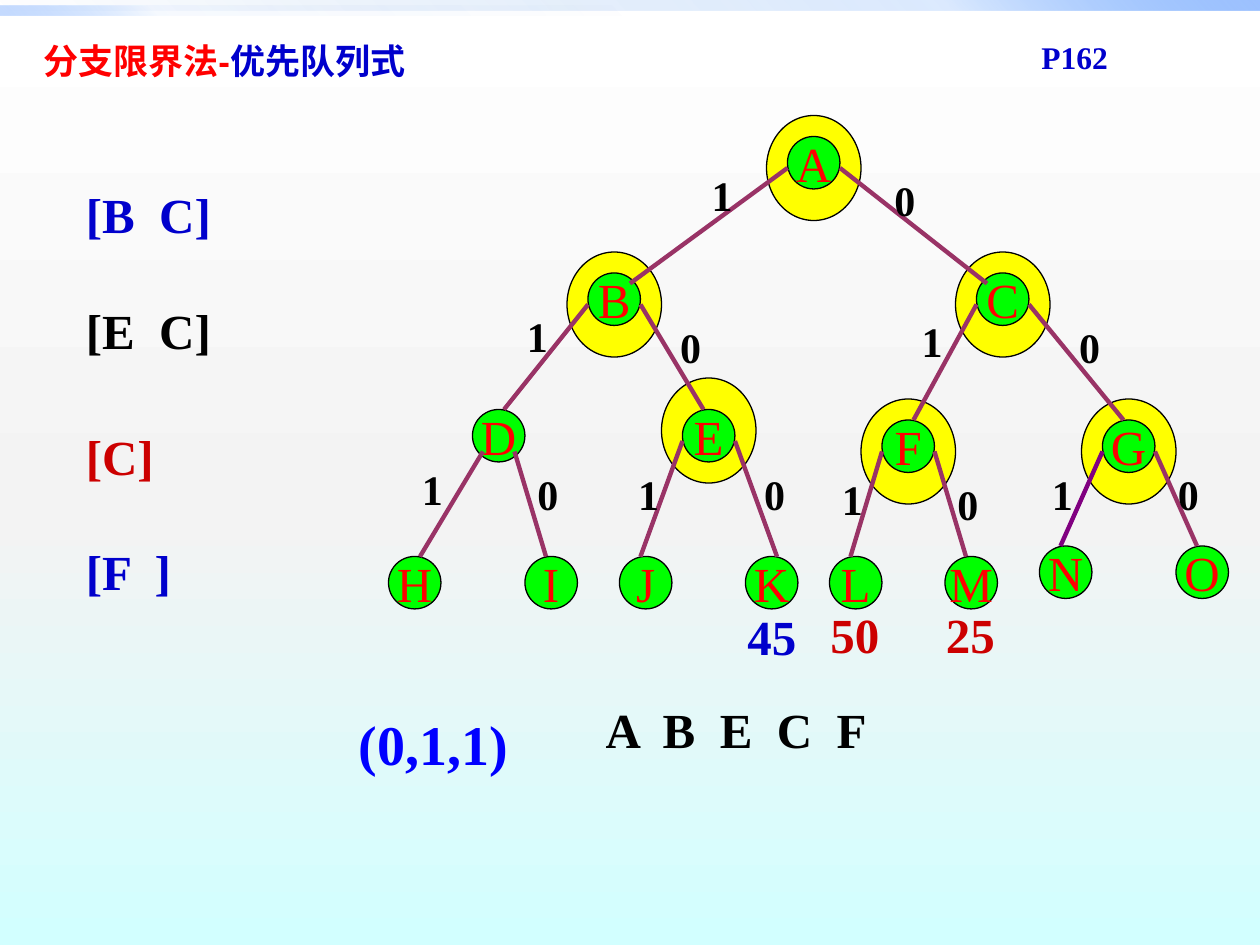
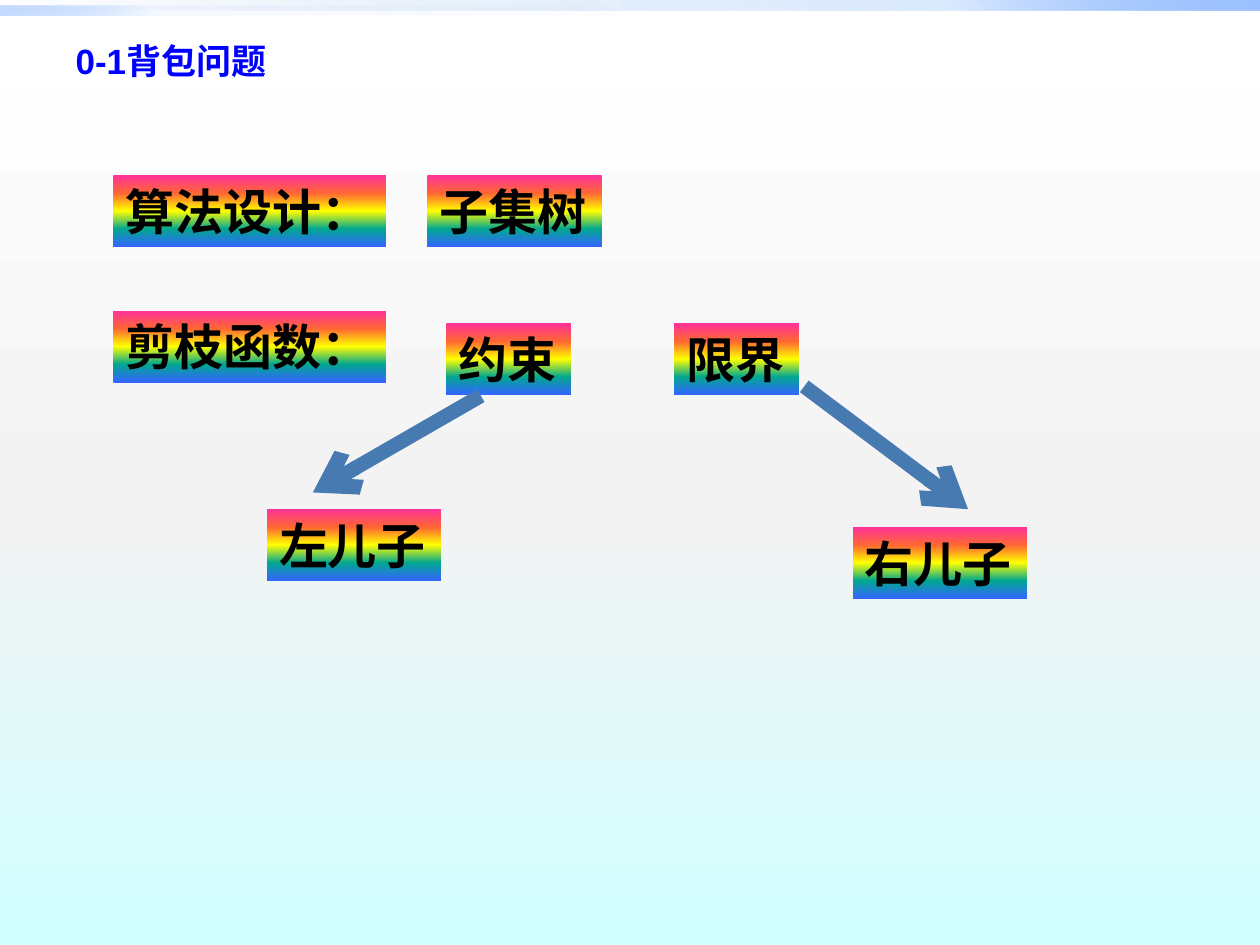
from lxml import etree
from pptx import Presentation
from pptx.dml.color import RGBColor
from pptx.enum.shapes import MSO_CONNECTOR, MSO_SHAPE
from pptx.enum.text import MSO_ANCHOR, MSO_AUTO_SIZE, PP_ALIGN
from pptx.oxml.ns import qn
from pptx.util import Pt

PX = 7620
LINE = MSO_CONNECTOR.STRAIGHT
RECT, OVAL = MSO_SHAPE.RECTANGLE, MSO_SHAPE.OVAL
TOP, MIDDLE = MSO_ANCHOR.TOP, MSO_ANCHOR.MIDDLE
FIXED, GROW = MSO_AUTO_SIZE.NONE, MSO_AUTO_SIZE.SHAPE_TO_FIT_TEXT
LEFT, CENTER = PP_ALIGN.LEFT, PP_ALIGN.CENTER

SANS, SERIF = "Arial", "Times New Roman"
BLACK, RED, BLUE = "000000", "FF0000", "0000FF"
NAVY, BRICK, PLUM = "0000CC", "CC0000", "993366"
YELLOW, GREEN, STEEL, PURPLE = "FFFF00", "00FF00", "477AB1", "800080"

SKY = [(0, "FFFFFF", 100), (55, "F3F3F3", 100), (100, "D2FFFF", 100)]
RAINBOW = [(0, "FF3399", 100), (25, "FF6633", 100), (50, YELLOW, 100),
           (75, "01A78F", 100), (100, "3366FF", 100)]
BANDS = [((0, 0, 1200, 10), 315, 20, 100), ((0, 5, 600, 10), 135, 5, 60)]

NODE = 50
NODES = {
    "A": (380, 20), "B": (190, 150), "C": (560, 150), "D": (80, 280),
    "E": (280, 280), "F": (470, 290), "G": (680, 290), "H": (0, 420),
    "I": (130, 420), "J": (220, 420), "K": (340, 420), "L": (420, 420),
    "M": (530, 420), "N": (620, 410), "O": (750, 410),
}
HALOS = {"G": 20, "F": 20, "C": 20, "E": 30, "B": 20, "A": 20}
EDGES = [
    ("AB", (40, 10), (296, 46)), ("AC", (10, 10), (470, 50)),
    ("BD", (30, 0), (120, 180)), ("BE", (20, 0), (266, 190)),
    ("CF", (30, 0), (496, 185)), ("CG", (20, 0), (646, 190)),
    ("DH", (30, 0), (20, 326)), ("DI", (20, 0), (130, 330)),
    ("EJ", (20, 0), (226, 330)), ("EK", (30, 0), (346, 330)),
    ("FL", (20, 0), (420, 335)), ("FM", (20, 0), (530, 340)),
    ("GN", (20, 0), (620, 330)), ("GO", (20, 0), (740, 330)),
]


def px(*vals):
    return [round(v * PX) for v in vals]


def color(code):
    return RGBColor.from_string(code)


def blend(fill, root, stops, angle):
    fill.gradient()
    grad = root.find(".//" + qn("a:gradFill"))
    ramp = grad.find(qn("a:gsLst"))
    for old in list(ramp):
        ramp.remove(old)
    for pos, code, alpha in stops:
        stop = etree.SubElement(ramp, qn("a:gs"), pos=str(pos * 1000))
        tint = etree.SubElement(stop, qn("a:srgbClr"), val=code)
        if alpha < 100:
            etree.SubElement(tint, qn("a:alpha"), val=str(alpha * 1000))
    lin = grad.find(qn("a:lin"))
    lin.set("ang", str(angle * 60000))
    lin.set("scaled", "0")


def write(frame, parts, size, font=SERIF, bold=True, align=LEFT,
          anchor=TOP, wrap=False, fit=GROW):
    frame.word_wrap = wrap
    frame.auto_size = fit
    frame.vertical_anchor = anchor
    para = frame.paragraphs[0]
    para.alignment = align
    para.font.size, para.font.name, para.font.bold = Pt(size), font, bold
    if len(parts) == 1:
        para.font.color.rgb = color(parts[0][1])
    for text, code in parts:
        run = para.add_run()
        run.text = text
        if len(parts) > 1:
            run.font.color.rgb = color(code)


def label(slide, box, text, size, code, wrap=False):
    frame = slide.shapes.add_textbox(*px(*box)).text_frame
    write(frame, [(text, code)], size, wrap=wrap)


def shape(slide, kind, box):
    item = slide.shapes.add_shape(kind, *px(*box))
    item.shadow.inherit = False
    item.line.fill.background()
    return item


def disc(slide, box, code):
    item = shape(slide, OVAL, box)
    item.fill.solid()
    item.fill.fore_color.rgb = color(code)
    item.line.color.rgb = color(BLACK)
    item.line.width = Pt(0.75)
    return item


def link(slide, start, end, code, width):
    item = slide.shapes.add_connector(LINE, *px(*start, *end))
    item.line.color.rgb = color(code)
    item.line.width = Pt(width)
    etree.SubElement(item.element.spPr, qn("a:effectLst"))
    return item


def frame_slide(deck, box, parts):
    slide = deck.slides.add_slide(deck.slide_layouts[5])
    for band, angle, mid, last in BANDS:
        item = shape(slide, RECT, band)
        stops = [(0, "0058B7", 0), (75, "4F95FF", mid), (100, "9EC2FF", last)]
        blend(item.fill, item.element, stops, angle)
    title = slide.shapes.title
    title.left, title.top, title.width, title.height = px(*box)
    write(title.text_frame, parts, 20, SANS, wrap=True, fit=FIXED)
    return slide


def tree(slide, left, top):
    spots = {name: (left + x, top + y) for name, (x, y) in NODES.items()}
    for name, rise in HALOS.items():
        x, y = spots[name]
        disc(slide, (x - 20, y - rise, 90, 100), YELLOW)
    for name, spot in spots.items():
        item = disc(slide, (*spot, NODE, NODE), GREEN)
        write(item.text_frame, [(name, RED)], 28, bold=False, align=CENTER,
              anchor=MIDDLE, fit=FIXED)
    for i, (pair, (dx, dy), (tx, ty)) in enumerate(EDGES):
        (ax, ay), (bx, by) = spots[pair[0]], spots[pair[1]]
        right = i % 2
        inset, drop = (10, 40) if pair[0] == "D" else (0, 30)
        start = (ax + (NODE - inset if right else inset), ay + drop)
        code = PURPLE if pair == "GN" else PLUM
        link(slide, start, (bx + dx, by + dy), code, 2.5)
        label(slide, (left + tx, top + ty, 44, 60), "01"[not right], 24, BLACK)
    for x, y, text, code in [(330, 462, "45", NAVY), (409, 460, "50", BRICK),
                             (519, 460, "25", BRICK)]:
        label(slide, (left + x, top + y, 71, 68), text, 28, code)


def queue(slide, left, top):
    for y, width, text, code in [(0, 144, "[B  C]", NAVY),
                                 (110, 144, "[E  C]", BLACK),
                                 (230, 89, "[C]", BRICK),
                                 (340, 107, "[F  ]", NAVY)]:
        label(slide, (left, top + y, width, 68), text, 28, code)


def result(slide, left, top):
    label(slide, (left + 235, top, 298, 68), "A  B  E  C  F", 28, BLACK)
    label(slide, (left, top + 10, 170, 77), "(0,1,1)", 32, BLUE, wrap=True)


def plan(slide, left, top):
    for x, y, text in [(0, 0, "算法设计："), (299, 0, "子集树"),
                       (0, 129, "剪枝函数："), (317, 141, "约束"),
                       (534, 141, "限界"), (146, 318, "左儿子"),
                       (704, 335, "右儿子")]:
        width = 47 * len(text) + 25
        item = shape(slide, RECT, (left + x, top + y, width, 68))
        blend(item.fill, item.element, RAINBOW, 90)
        write(item.text_frame, [(text, BLACK)], 28, SANS)
    for ax, ay, bx, by in [(350, 210, 190, 302), (658, 201, 814, 318)]:
        item = link(slide, (left + ax, top + ay), (left + bx, top + by),
                    STEEL, 8.25)
        etree.SubElement(item.line._get_or_add_ln(), qn("a:tailEnd"),
                         type="arrow")


def main():
    deck = Presentation()
    deck.slide_width, deck.slide_height = px(1200, 900)
    master = deck.slide_master
    blend(master.background.fill, master.element, SKY, 90)

    search = frame_slide(deck, (29, 32, 521, 52),
                         [("分支限界法-", RED), ("优先队列式", NAVY)])
    label(search, (980, 30, 88, 48), "P162", 18, NAVY)
    tree(search, 370, 110)
    queue(search, 70, 170)
    result(search, 330, 660)

    pack = frame_slide(deck, (60, 32, 344, 52), [("0-1背包问题", BLUE)])
    plan(pack, 108, 167)
    deck.save("out.pptx")


if __name__ == "__main__":
    main()
